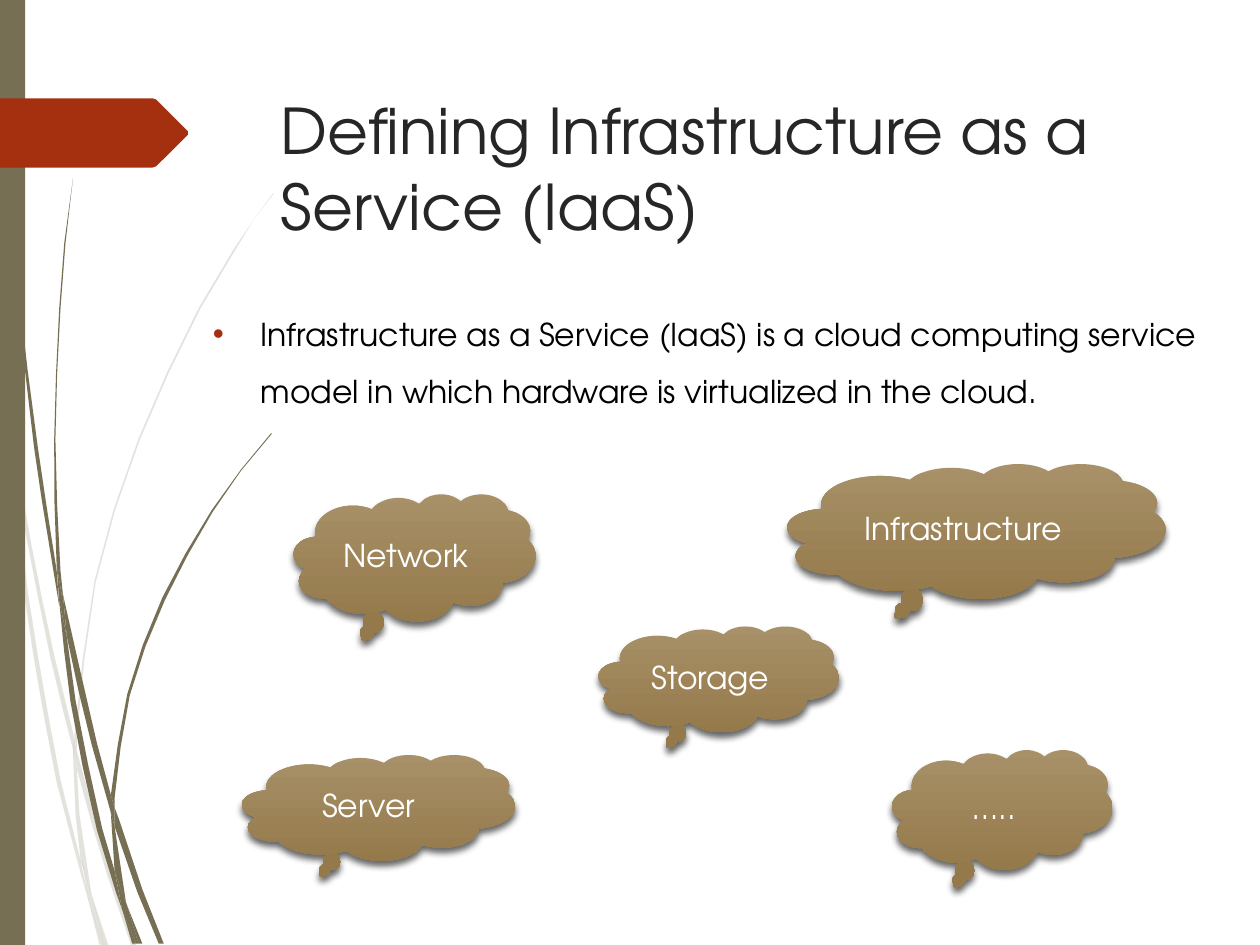
from dataclasses import dataclass
from math import dist

from lxml.etree import SubElement
from pptx import Presentation
from pptx.dml.color import RGBColor
from pptx.enum.shapes import MSO_SHAPE
from pptx.enum.text import MSO_ANCHOR, PP_ALIGN
from pptx.oxml.ns import qn
from pptx.util import Inches, Pt


@dataclass(frozen=True)
class Theme:
    font: str = "TeX Gyre Adventor"
    olive: str = "766F54"
    rust: str = "A53010"
    title: str = "262626"
    body: str = "000000"
    cloud_top: str = "A89068"
    cloud_bottom: str = "947A4B"
    cloud_text: str = "FFFFFF"
    shadow: str = "000000"
    title_size: int = 36
    text_size: int = 18
    pale_alpha: int = 20
    shadow_alpha: int = 60


PALE_STRANDS = [
    [[(0.08, 3.5), (0.06, 3.22), (0, 2.82)], [(0, 2.99), (0.07, 3.44), (0.08, 3.5)]],
    [[(0.1, 3.45), (0.12, 3.76), (0.4, 5.22), (0.59, 5.99)],
     [(0.59, 5.86), (0.43, 5.2), (0.25, 4.33), (0.1, 3.45)]],
    [[(0.61, 5.96), (0.61, 6.1), (0.85, 6.94), (1.04, 7.5)],
     [(1.08, 7.5), (0.88, 6.92), (0.64, 6.07), (0.61, 5.96)]],
    [[(0.73, 7.11), (0.83, 7.5)], [(0.86, 7.5), (0.73, 7.11)]],
    [[(0.08, 3.5), (0.19, 4.7), (0.45, 6.21), (0.64, 6.93), (0.7, 7.14)],
     [(0.69, 7.07), (0.64, 6.83), (0.48, 6.19), (0.22, 4.69), (0.12, 3.76), (0.08, 3.5)]],
    [[(0.58, 5.99), (0.6, 6.46), (0.64, 6.83), (0.67, 6.92), (0.73, 7.11)],
     [(0.72, 7.06), (0.63, 6.46), (0.61, 6.1), (0.58, 5.99)]],
    [[(0.61, 5.96), (0.61, 5.84), (0.76, 4.62), (1.11, 3.49), (1.59, 2.45), (1.87, 1.98),
      (2.01, 1.75), (2.17, 1.54)],
     [(2.17, 1.53), (2.01, 1.75), (1.86, 1.97), (1.58, 2.44), (1.1, 3.48), (0.75, 4.61),
      (0.59, 5.84)]],
    [[(0.7, 7.14), (0.79, 7.5)], [(0.82, 7.5), (0.7, 7.14)]],
    [[(0.61, 6.1), (0.61, 5.96), (0.59, 5.86)], [(0.58, 5.99), (0.61, 6.08)]],
    [[(0.65, 6.83), (0.69, 7.07), (0.7, 7.14), (0.82, 7.5)],
     [(0.83, 7.5), (0.73, 7.11), (0.67, 6.92), (0.65, 6.83)]],
]

DARK_STRANDS = [
    [[(0.02, 0), (0.05, 1.1), (0.14, 2.33), (0.27, 3.55), (0.47, 4.81)],
     [(0.45, 4.53), (0.3, 3.55), (0.15, 2.32), (0.06, 1.09), (0.03, 0)]],
    [[(0.5, 4.72), (0.53, 5.05), (0.73, 5.92), (0.88, 6.45)],
     [(0.88, 6.31), (0.77, 5.9), (0.5, 4.72)]],
    [[(0.91, 6.41), (0.91, 6.56), (1.09, 7.08), (1.26, 7.49)],
     [(1.3, 7.49), (1.13, 7.06), (0.94, 6.49), (0.91, 6.41)]],
    [[(0.47, 4.77), (0.56, 5.57), (0.77, 6.59), (0.92, 7.08), (0.97, 7.22)],
     [(0.96, 7.17), (0.91, 6.91), (0.81, 6.57), (0.6, 5.56), (0.53, 5.05), (0.47, 4.77)]],
    [[(0.5, 4.72), (0.48, 4.53), (0.44, 3.49), (0.48, 2.45), (0.52, 1.93), (0.58, 1.41)],
     [(0.58, 1.41), (0.51, 1.93), (0.47, 2.45), (0.43, 3.49), (0.45, 4.49), (0.49, 4.72)]],
    [[(1.01, 7.19), (1.1, 7.49)], [(1.13, 7.49), (1.01, 7.19)]],
    [[(0.45, 4.49), (0.47, 4.77), (0.53, 5.05)], [(0.5, 4.72), (0.49, 4.72), (0.45, 4.49)]],
    [[(0.91, 6.41), (0.91, 6.33), (1.03, 5.52), (1.31, 4.76), (1.69, 4.06), (1.91, 3.74),
      (2.16, 3.44)],
     [(2.15, 3.44), (1.91, 3.73), (1.68, 4.05), (1.29, 4.74), (1.01, 5.51), (0.88, 6.31)]],
    [[(0.97, 7.22), (1.05, 7.49)], [(1.08, 7.49), (0.97, 7.22)]],
    [[(0.88, 6.45), (0.91, 6.91), (0.96, 7.06), (1.01, 7.19)],
     [(1, 7.16), (0.91, 6.56), (0.88, 6.45)]],
    [[(0.88, 6.45), (0.91, 6.56)], [(0.91, 6.41), (0.88, 6.31)]],
    [[(0.91, 6.91), (0.96, 7.17), (0.97, 7.22), (1.08, 7.49)],
     [(1.1, 7.49), (1.01, 7.19), (0.96, 7.06), (0.91, 6.91)]],
]

RIBBON = [(0, 0.78), (1.21, 0.78), (1.24, 0.79), (1.49, 1.04), (1.49, 1.07),
          (1.24, 1.32), (1.21, 1.33), (0, 1.33)]

CLOUDS = [
    ("…..", 7.08, 5.95, 1.75, 0.95),
    ("Network", 2.33, 3.92, 1.92, 1.01),
    ("Storage", 4.75, 4.97, 1.91, 0.84),
    ("Infrastructure", 6.25, 3.68, 3, 1.07),
    ("Server", 1.92, 5.99, 2.17, 0.84),
]


def smooth(knots, steps_per_inch=2):
    last = len(knots) - 1
    tangents = []
    for index in range(last + 1):
        before, here, after = knots[max(index - 1, 0)], knots[index], knots[min(index + 1, last)]
        length = dist(before, here) + dist(here, after)
        tangents.append([(b - a) / length for a, b in zip(before, after)])
    points = [knots[0]]
    for index in range(last):
        start, end = knots[index], knots[index + 1]
        length = dist(start, end)
        steps = max(1, round(length * steps_per_inch)) if last > 1 else 1
        for step in range(1, steps + 1):
            t = step / steps
            blend = 3 * t**2 - 2 * t**3
            points.append(tuple(
                a + (b - a) * blend + length * ((t**3 - 2 * t**2 + t) * m + (t**3 - t**2) * n)
                for a, b, m, n in zip(start, end, tangents[index], tangents[index + 1])))
    return points


class SlideBuilder:
    def __init__(self, slide, theme):
        self.slide = slide
        self.theme = theme

    def paint(self, shape, color, alpha=None):
        shape.shadow.inherit = False
        shape.line.fill.background()
        shape.fill.solid()
        shape.fill.fore_color.rgb = RGBColor.from_string(color)
        if alpha is not None:
            color_element = shape._element.spPr.find(qn("a:solidFill"))[0]
            SubElement(color_element, qn("a:alpha"), val=str(alpha * 1000))

    def outline(self, points, color, alpha=None):
        corners = [(Inches(x), Inches(y)) for x, y in points]
        builder = self.slide.shapes.build_freeform(*corners[0])
        builder.add_line_segments(corners[1:], close=True)
        self.paint(builder.convert_to_shape(), color, alpha)

    def strand(self, edges, alpha=None):
        self.outline([point for edge in edges for point in smooth(edge)], self.theme.olive, alpha)

    def bar(self, left, top, width, height):
        shape = self.slide.shapes.add_shape(
            MSO_SHAPE.RECTANGLE, Inches(left), Inches(top), Inches(width), Inches(height))
        self.paint(shape, self.theme.olive)

    def format_text(self, paragraph, size, color):
        for run in paragraph.runs:
            run.font.name = self.theme.font
            run.font.size = Pt(size)
            run.font.color.rgb = RGBColor.from_string(color)

    def text(self, text, left, top, width, height, size, color):
        box = self.slide.shapes.add_textbox(
            Inches(left), Inches(top), Inches(width), Inches(height))
        box.text_frame.word_wrap = True
        box.text_frame.text = text
        paragraph = box.text_frame.paragraphs[0]
        self.format_text(paragraph, size, color)
        return paragraph

    def bullet(self, *arguments):
        paragraph = self.text(*arguments)
        properties = paragraph._p.get_or_add_pPr()
        properties.set("marL", str(Inches(0.38)))
        properties.set("indent", str(-Inches(0.38)))
        bullet_color = SubElement(properties, qn("a:buClr"))
        SubElement(bullet_color, qn("a:srgbClr"), val=self.theme.rust)
        SubElement(properties, qn("a:buFont"), typeface="Arial")
        SubElement(properties, qn("a:buChar"), char="•")
        paragraph.line_spacing = 1.5

    def cloud(self, text, left, top, width, height):
        shape = self.slide.shapes.add_shape(
            MSO_SHAPE.CLOUD_CALLOUT, Inches(left), Inches(top), Inches(width), Inches(height))
        shape.line.fill.background()
        shape.fill.gradient()
        shape.fill.gradient_angle = 270
        colors = (self.theme.cloud_top, self.theme.cloud_bottom)
        for stop, position, color in zip(shape.fill.gradient_stops, (0, 1), colors):
            stop.position = position
            stop.color.rgb = RGBColor.from_string(color)
        shape.shadow.inherit = False
        effects = shape._element.spPr.find(qn("a:effectLst"))
        shadow = SubElement(effects, qn("a:outerShdw"), blurRad=str(Pt(4)), dist=str(Pt(3)),
                            dir=str(90 * 60000), rotWithShape="0")
        shadow_color = SubElement(shadow, qn("a:srgbClr"), val=self.theme.shadow)
        SubElement(shadow_color, qn("a:alpha"), val=str(self.theme.shadow_alpha * 1000))
        shape.text_frame.text = text
        shape.text_frame.vertical_anchor = MSO_ANCHOR.MIDDLE
        paragraph = shape.text_frame.paragraphs[0]
        paragraph.alignment = PP_ALIGN.CENTER
        self.format_text(paragraph, self.theme.text_size, self.theme.cloud_text)


def main():
    presentation = Presentation()
    presentation.slide_width, presentation.slide_height = Inches(10), Inches(7.5)
    theme = Theme()
    builder = SlideBuilder(presentation.slides.add_slide(presentation.slide_layouts[6]), theme)
    for edges in PALE_STRANDS:
        builder.strand(edges, theme.pale_alpha)
    for edges in DARK_STRANDS:
        builder.strand(edges)
    builder.bar(0, 0, 0.2, 7.5)
    builder.outline(RIBBON, theme.rust)
    builder.text("Defining Infrastructure as a Service (IaaS)",
                 2.13, 0.68, 7.21, 1.4, theme.title_size, theme.title)
    builder.bullet("Infrastructure as a Service (IaaS) is a cloud computing service model "
                   "in which hardware is virtualized in the cloud.",
                   1.59, 2.3, 8.25, 1.06, theme.text_size, theme.body)
    for cloud in CLOUDS:
        builder.cloud(*cloud)
    presentation.save("out.pptx")


if __name__ == "__main__":
    main()
